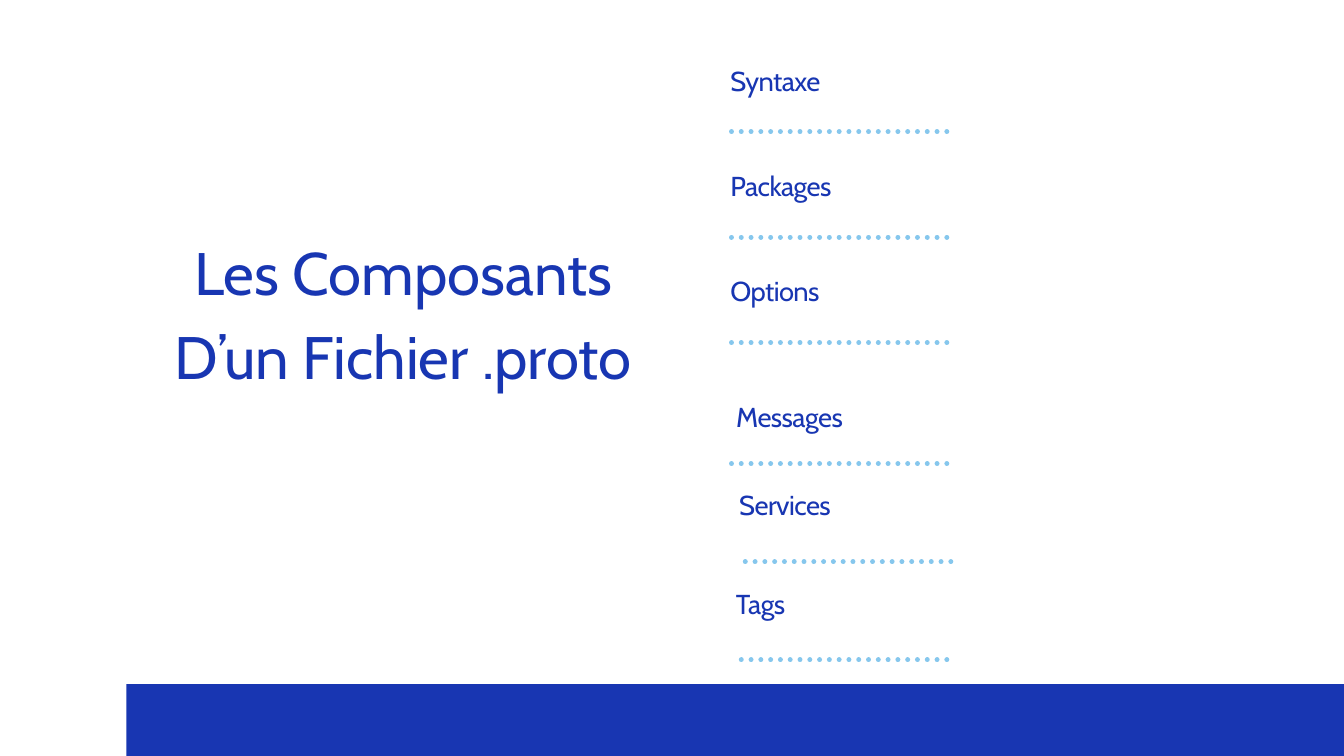
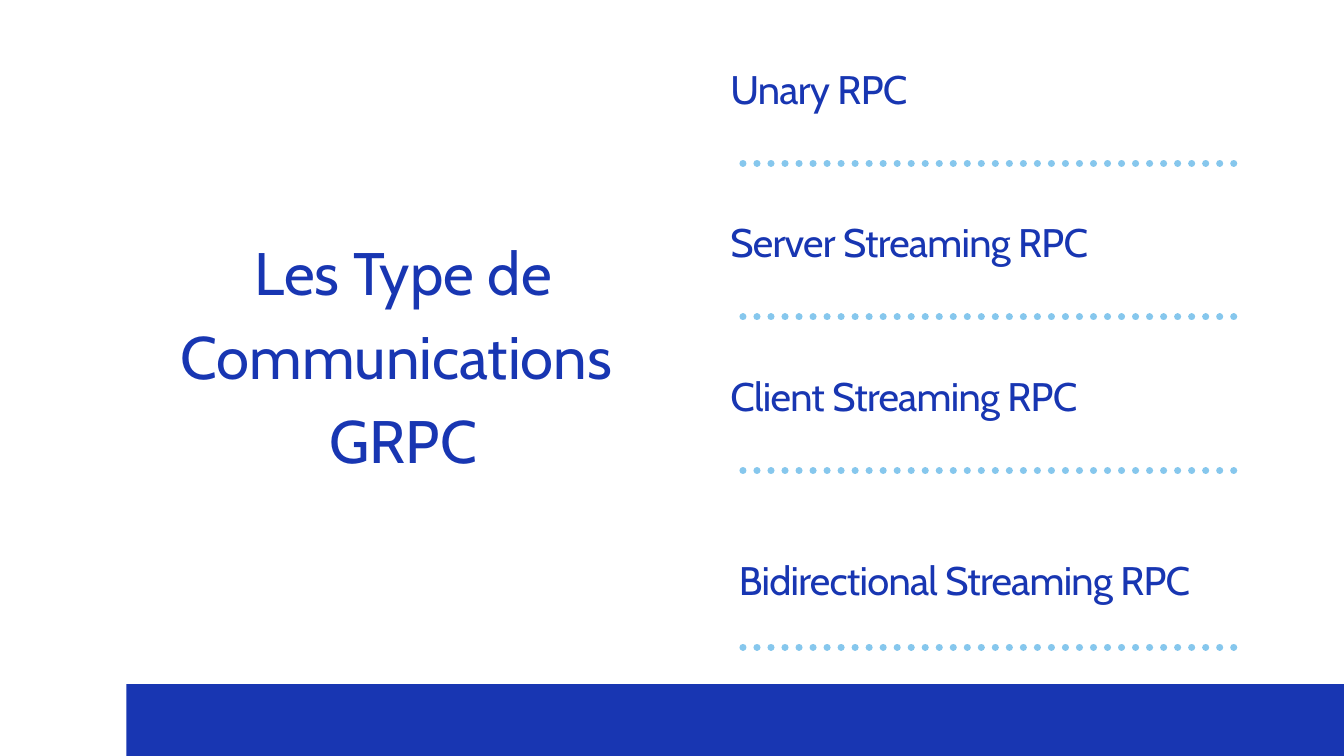
from lxml import etree
from pptx import Presentation
from pptx.dml.color import RGBColor
from pptx.enum.dml import MSO_LINE
from pptx.enum.shapes import MSO_CONNECTOR
from pptx.enum.text import MSO_ANCHOR, MSO_AUTO_SIZE, PP_ALIGN
from pptx.oxml.ns import qn
from pptx.util import Pt

FONT = "Cabin"
BLUE = "1836B2"
SKY = "86C7ED"

# Boxes: left, top, width, height
TITLE = (167, 239.75, 530, 264)
BAND = (135.4, 733, 1383, 103)
LIST = (782.6, 60.5, 539.3, 633)


def color(code):
    return RGBColor.from_string(code)


def place(shape, left, top, wide, high):
    shape.left, shape.top = Pt(left), Pt(top)
    shape.width, shape.height = Pt(wide), Pt(high)


def write(shape, lines, size, lead, align, track=0):
    frame = shape.text_frame
    frame.word_wrap = True
    frame.auto_size = MSO_AUTO_SIZE.SHAPE_TO_FIT_TEXT
    frame.vertical_anchor = MSO_ANCHOR.TOP
    frame.margin_left = frame.margin_right = Pt(0)
    frame.margin_top = frame.margin_bottom = Pt(0)
    for i, line in enumerate(lines):
        para = frame.add_paragraph() if i else frame.paragraphs[0]
        para.alignment = align
        para.line_spacing = Pt(lead)
        para.space_before = Pt(0)
        run = para.add_run()
        run.text = line
        run.font.name = FONT
        run.font.size = Pt(size)
        run.font.color.rgb = color(BLUE)
        if track:
            run.font._element.set("spc", str(round(track * 100)))


def add_title(slide, box, lines):
    title = slide.shapes.title
    place(title, *box)
    write(title, lines, 64.2, 89.8, PP_ALIGN.CENTER)


def add_band(slide, box):
    # Footer band with a slanted right end that bleeds off the page
    left, top, wide, high = box
    right, base = left + wide, top + high
    shape = slide.shapes.build_freeform(Pt(left), Pt(top), scale=1.0)
    shape.add_line_segments(
        [(Pt(left), Pt(base)), (Pt(right), Pt(base)), (Pt(right - 37.5), Pt(top))],
        close=True)
    band = shape.convert_to_shape()
    band.shadow.inherit = False
    band.fill.solid()
    band.fill.fore_color.rgb = color(BLUE)
    band.line.fill.background()


def add_dots(slide, left, right, y, weight):
    # Drawn from right to left so the dots start at the right end
    rule = slide.shapes.add_connector(
        MSO_CONNECTOR.STRAIGHT, Pt(right), Pt(y), Pt(left), Pt(y))
    rule.line.color.rgb = color(SKY)
    rule.line.width = Pt(weight)
    rule.line.dash_style = MSO_LINE.ROUND_DOT
    rule.line._ln.set("cap", "rnd")
    etree.SubElement(rule._element.spPr, qn("a:effectLst"))


def add_list(slide, box, style, rows):
    # Row: label, its shift, top and width; rule start, end and height
    size, lead, track, weight = style
    left, top = box[:2]
    for label, shift, y, wide, start, end, rule in rows:
        text = slide.shapes.add_textbox(
            Pt(left + shift), Pt(top + y), Pt(wide), Pt(lead))
        write(text, [label], size, lead, PP_ALIGN.LEFT, track)
        add_dots(slide, left + start, left + end, top + rule, weight)


def add_page(deck, title, style, rows):
    slide = deck.slides.add_slide(deck.slide_layouts[5])
    add_title(slide, TITLE, title)
    add_band(slide, BAND)
    add_list(slide, LIST, style, rows)


def main():
    deck = Presentation()
    deck.slide_width, deck.slide_height = Pt(1440), Pt(810)

    # Parts of a .proto file
    wide, end = 207.4, 231.9
    parts = [(name, 0, 2.1 + 112.7 * i, wide, 0, end, 80.6 + 113 * i)
             for i, name in enumerate(["Syntaxe", "Packages", "Options"])]
    parts += [
        ("Messages", 6.2, 362.9, wide, 0, end, 436.3),
        ("Services", 9.4, 457.2, wide, 9.4, 236.2, 541.4),
        ("Tags", 5.8, 562.3, wide, 5.8, end, 646.5),
    ]
    add_page(deck, ["Les Composants D’un Fichier .proto"],
             (29.3, 41, -0.6, 5.25), parts)

    # Kinds of call
    end = LIST[2]
    calls = [(name, 0, 164.6 * i, wide, 0, end, 114.5 + 164.6 * i)
             for i, (name, wide) in enumerate([
                 ("Unary RPC", 301.7),
                 ("Server Streaming RPC", 416.9),
                 ("Client Streaming RPC", 416.9)])]
    calls.append(("Bidirectional Streaming RPC", 9, 526.3, end, 0, end, 632.9))
    add_page(deck, ["Les Type de Communications ", "GRPC"],
             (42.7, 59.8, -0.8, 7.5), calls)

    deck.save("out.pptx")


if __name__ == "__main__":
    main()
